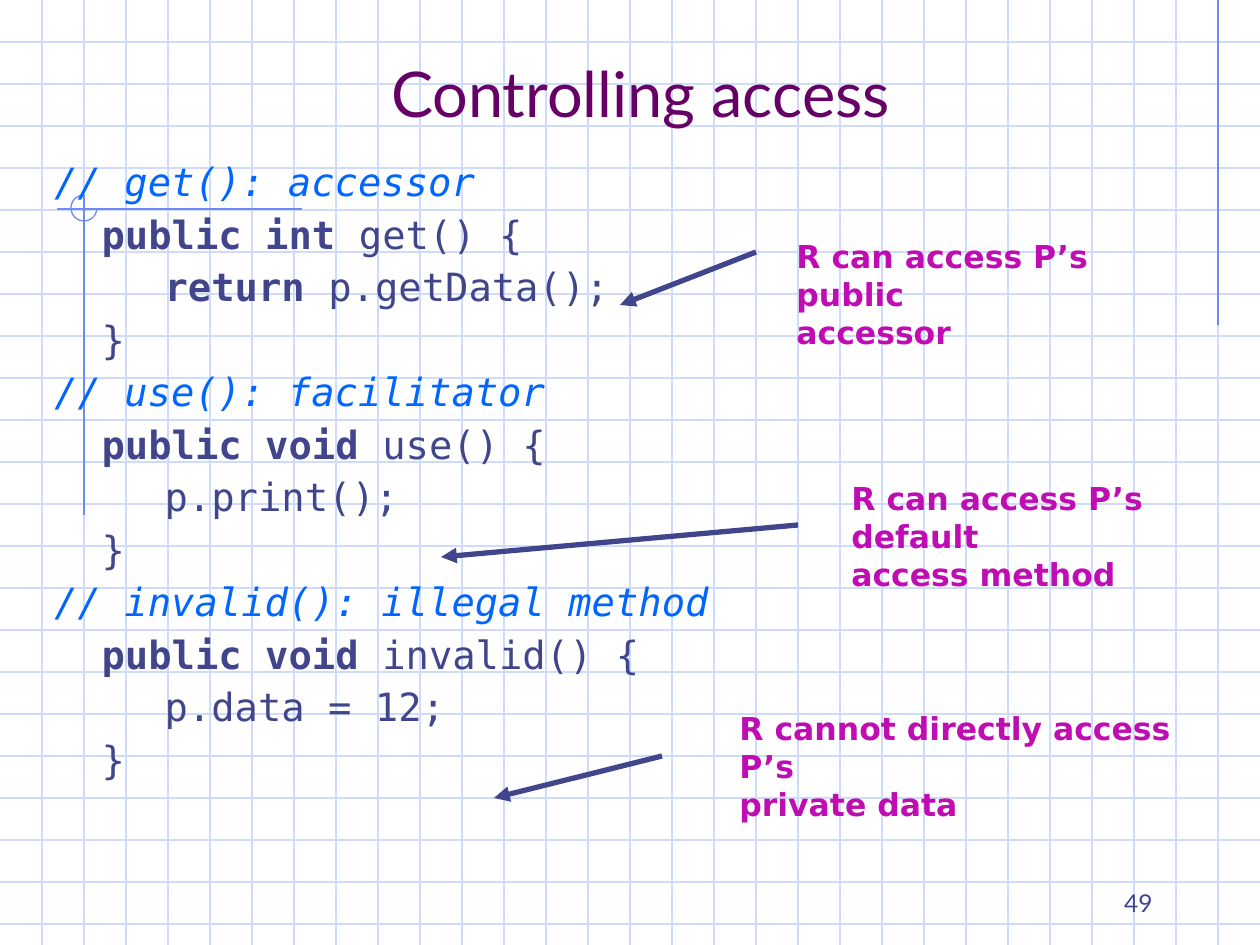
from lxml import etree
from pptx import Presentation
from pptx import util as u
from pptx.dml.color import RGBColor
from pptx.enum import shapes, text
from pptx.oxml.ns import qn

PX = 914400 / 126
WIDTH, HEIGHT, CELL = 1260, 945, 42
COLORS = {"grid": "CFDBFD", "accent": "6F89F7", "title": "660066",
          "code": "40458C", "comment": "0066FF", "note": "C00CB3"}
SANS, MONO, HEAD = "DejaVu Sans", "DejaVu Sans Mono", "Lato"

TITLE = "Controlling access"
PAGE = "49"
# Each code line is a list of (text, style) runs.
CODE = [
    [("// get(): accessor", "comment")],
    [("\t", ""), ("public int", "keyword"), (" get() {", "")],
    [("\t\t", ""), ("return", "keyword"), (" p.getData();", "")],
    [("\t}", "")],
    [("// use(): facilitator", "comment")],
    [("\t", ""), ("public void", "keyword"), (" use() {", "")],
    [("\t\tp.print();", "")],
    [("\t}", "")],
    [("// invalid(): illegal method", "comment")],
    [("\t", ""), ("public void", "keyword"), (" invalid() {", "")],
    [("\t\tp.data = 12;", "")],
    [("\t}", "")],
]
# (lines, box, arrow start and end)
NOTES = [
    (("R can access P’s public", "accessor"),
     (784, 231, 374, 88), (756, 252, 620, 305)),
    (("R can access P’s default", "access method"),
     (839, 473, 392, 88), (798, 525, 441, 557)),
    (("R cannot directly access P’s", "private data"),
     (727, 703, 460, 88), (662, 756, 494, 798)),
]
ACCENT_LINES = [(1218, 0, 1218, 325), (302, 209, 57, 209), (84, 195, 84, 515)]


def emu(*lengths):
    return [round(n * PX) for n in lengths]


def rgb(name):
    return RGBColor.from_string(COLORS[name])


def add_line(parent, ends, color, width, arrow=False):
    line = parent.add_connector(shapes.MSO_CONNECTOR.STRAIGHT, *emu(*ends))
    line.line.color.rgb = rgb(color)
    line.line.width = u.Pt(width)
    props = line.element.spPr
    if arrow:
        etree.SubElement(props.find(qn("a:ln")), qn("a:tailEnd"), type="triangle")
    etree.SubElement(props, qn("a:effectLst"))


def add_run(p, words, font, size, color, bold=False, italic=False):
    r = p.add_run()
    r.text = words
    r.font.name, r.font.size = font, u.Pt(size)
    r.font.bold, r.font.italic = bold, italic
    r.font.color.rgb = rgb(color)


def add_box(s, box):
    tf = s.shapes.add_textbox(*emu(*box)).text_frame
    tf.word_wrap = True
    return tf


def add_background(s):
    grid = s.shapes.add_group_shape().shapes
    for y in range(CELL, HEIGHT, CELL):
        add_line(grid, (0, y, WIDTH, y), "grid", 0.75)
    for x in range(CELL, WIDTH, CELL):
        add_line(grid, (x, 0, x, HEIGHT), "grid", 0.75)
    for ends in ACCENT_LINES:
        add_line(grid, ends, "accent", 0.75)
    arc = grid.add_shape(shapes.MSO_SHAPE.ARC, *emu(71, 195, 26, 26))
    arc.adjustments[0], arc.adjustments[1] = 0, 162  # 0 to 270 degrees
    arc.shadow.inherit = False
    arc.fill.background()
    arc.line.color.rgb = rgb("accent")
    arc.line.width = u.Pt(0.75)


def add_title(s):
    title = s.shapes.title
    title.element.getparent().append(title.element)  # in front of the grid
    title.left, title.top, title.width, title.height = emu(105, 42, 1071, 94)
    tf = title.text_frame
    tf.vertical_anchor = text.MSO_ANCHOR.BOTTOM
    p = tf.paragraphs[0]
    p.alignment = text.PP_ALIGN.CENTER
    add_run(p, TITLE, HEAD, 36, "title")


def add_code(s):
    tf = add_box(s, (42, 157, 1144, 672))
    for i, runs in enumerate(CODE):
        p = tf.paragraphs[0] if i == 0 else tf.add_paragraph()
        props = p._p.get_or_add_pPr()
        indent = u.Inches(0.375)
        props.set("marL", str(indent))
        props.set("indent", str(-indent))
        tabs = etree.SubElement(props, qn("a:tabLst"))
        for inch in (0, 1):
            etree.SubElement(tabs, qn("a:tab"), pos=str(u.Inches(inch)), algn="l")
        p.line_spacing = 0.9
        if i:
            p.space_before = u.Pt(6)
        for words, style in runs:
            comment = style == "comment"
            add_run(p, words, MONO, 22.2, "comment" if comment else "code",
                    bold=style == "keyword", italic=comment)


def add_notes(s):
    for lines, box, arrow in NOTES:
        p = add_box(s, box).paragraphs[0]
        for i, words in enumerate(lines):
            if i:
                p.add_line_break()
            add_run(p, words, SANS, 18, "note", bold=True)
        add_line(s.shapes, arrow, "code", 3, arrow=True)


def add_page_number(s):
    tf = add_box(s, (903, 861, 262, 63))
    tf.vertical_anchor = text.MSO_ANCHOR.BOTTOM
    p = tf.paragraphs[0]
    p.alignment = text.PP_ALIGN.RIGHT
    add_run(p, PAGE, HEAD, 14, "code")


def main():
    prs = Presentation()
    prs.slide_width, prs.slide_height = emu(WIDTH, HEIGHT)
    s = prs.slides.add_slide(prs.slide_layouts[5])
    add_background(s)
    add_title(s)
    add_code(s)
    add_notes(s)
    add_page_number(s)
    prs.save("out.pptx")


if __name__ == "__main__":
    main()
